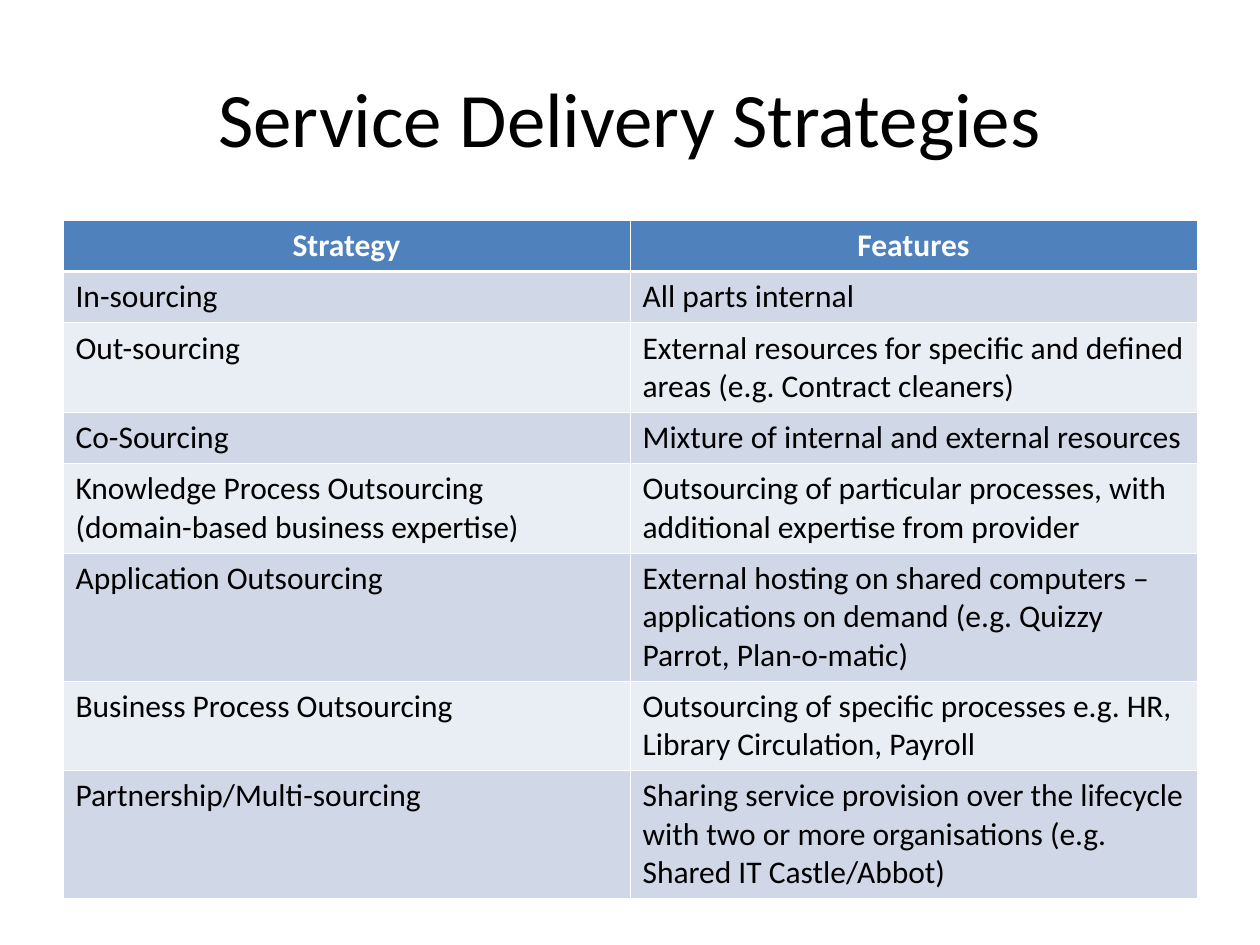
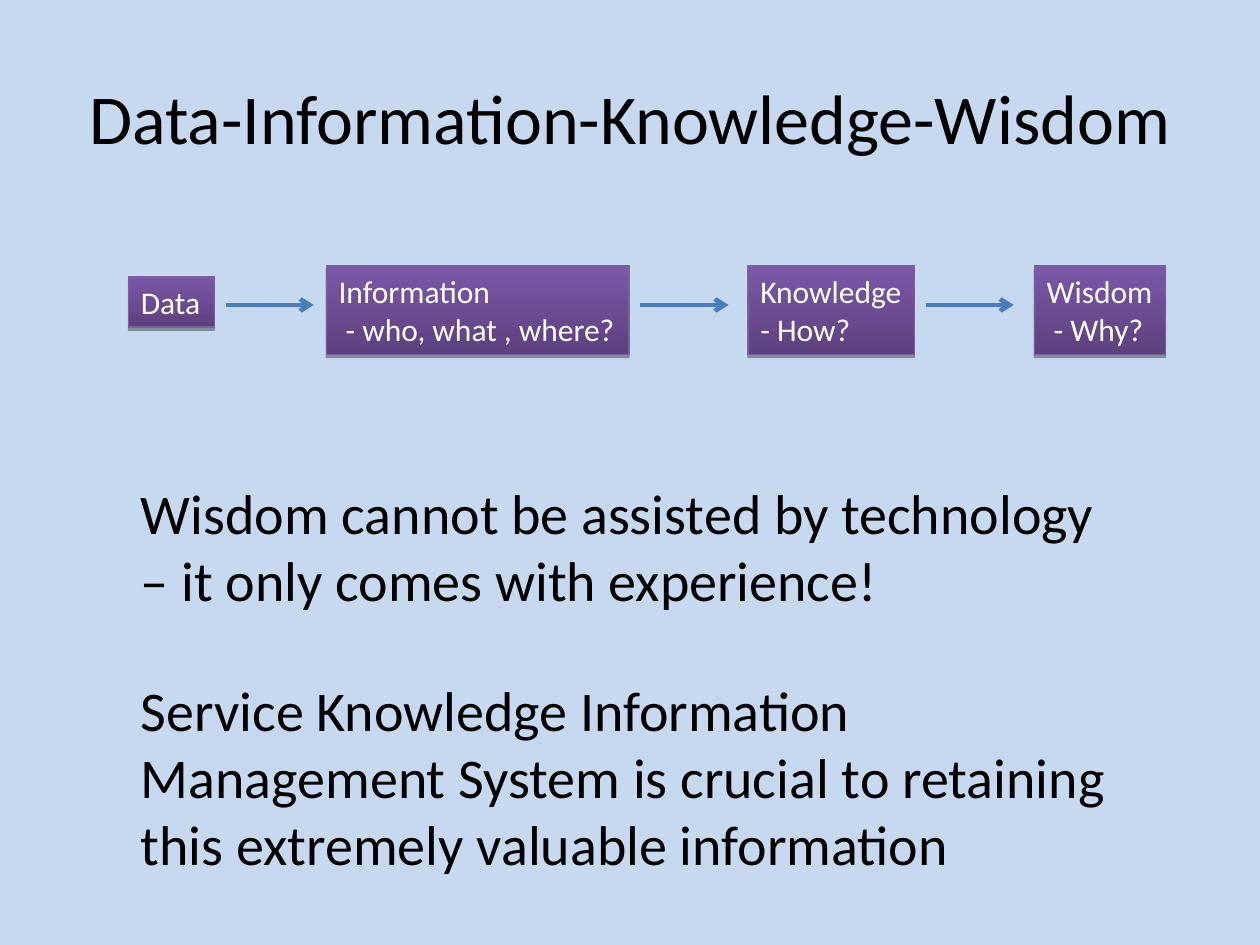
from lxml import etree
from pptx import Presentation
from pptx.dml.color import RGBColor
from pptx.enum.shapes import MSO_CONNECTOR, MSO_SHAPE
from pptx.enum.text import MSO_ANCHOR, PP_ALIGN
from pptx.oxml.ns import qn
from pptx.util import Pt

LEFT, CENTER = PP_ALIGN.LEFT, PP_ALIGN.CENTER
TOP, MIDDLE = MSO_ANCHOR.TOP, MSO_ANCHOR.MIDDLE
RECT, STRAIGHT = MSO_SHAPE.RECTANGLE, MSO_CONNECTOR.STRAIGHT

FONT = "Calibri"
COLORS = {
    "text": "000000", "white": "FFFFFF", "sky": "C6D9F1",
    "header": "4F81BD", "band_dark": "D0D8E8", "band_light": "E9EDF4",
    "box_dark": "5D417E", "box_light": "7B57A8", "box_line": "7D60A0",
    "arrow": "4A7EBB",
}
TITLE_BOX = (36, 21.6, 648, 90)

# Strategy, features, lines of text in the row
STRATEGIES = [
    ("Strategy", "Features", 1),
    ("In-sourcing", "All parts internal", 1),
    ("Out-sourcing",
     "External resources for specific and defined areas (e.g. Contract cleaners)", 2),
    ("Co-Sourcing", "Mixture of internal and external resources", 1),
    ("Knowledge Process Outsourcing\n(domain-based business expertise)",
     "Outsourcing of particular processes, with additional expertise from provider", 2),
    ("Application Outsourcing",
     "External hosting on shared computers – applications on demand "
     "(e.g. Quizzy Parrot, Plan-o-matic)", 3),
    ("Business Process Outsourcing",
     "Outsourcing of specific processes e.g. HR, Library Circulation, Payroll", 2),
    ("Partnership/Multi-sourcing",
     "Sharing service provision over the lifecycle with two or more organisations "
     "(e.g. Shared IT Castle/Abbot)", 3),
]

# Text, left and top within the chain, width, height
STAGES = [
    ("Data", 0, 6, 49, 29),
    ("Information\n - who, what , where?", 113, 0, 173, 50.6),
    ("Knowledge\n- How?", 354, 0, 95, 50.6),
    ("Wisdom\n - Why?", 517.6, 0, 75, 50.6),
]


def rgb(name):
    return RGBColor.from_string(COLORS[name])


def write(tf, text, size=18, color="text", bold=False, align=LEFT):
    """Fill a text frame, one paragraph for each line of text."""
    for i, line in enumerate(text.split("\n")):
        p = tf.add_paragraph() if i else tf.paragraphs[0]
        p.alignment = align
        r = p.add_run()
        r.text = line
        r.font.name, r.font.size, r.font.bold = FONT, Pt(size), bold
        r.font.color.rgb = rgb(color)


def add_text(slide, box, text, anchor=TOP, **fmt):
    tf = slide.shapes.add_textbox(*map(Pt, box)).text_frame
    tf.word_wrap = True
    tf.vertical_anchor = anchor
    write(tf, text, **fmt)


def add_slide(prs, title, title_size, background):
    slide = prs.slides.add_slide(prs.slide_layouts[6])
    fill = slide.background.fill
    fill.solid()
    fill.fore_color.rgb = rgb(background)
    add_text(slide, TITLE_BOX, title, anchor=MIDDLE, size=title_size, align=CENTER)
    return slide


def add_color(parent, name):
    return etree.SubElement(parent, qn("a:srgbClr"), val=COLORS[name])


def set_borders(cell, **widths):
    tcPr = cell._tc.get_or_add_tcPr()
    for i, side in enumerate("LRTB"):
        width = Pt(widths.get(side, 0.45))
        ln = etree.Element(qn(f"a:ln{side}"), w=str(width))
        add_color(etree.SubElement(ln, qn("a:solidFill")), "white")
        tcPr.insert(i, ln)


def strategy_table(slide, left, top, width):
    heights = [7.2 + 22 * lines for *_, lines in STRATEGIES]
    table = slide.shapes.add_table(
        len(STRATEGIES), 2, Pt(left), Pt(top), Pt(width), Pt(sum(heights))).table
    for column in table.columns:
        column.width = Pt(width / 2)
    for i, (*texts, _) in enumerate(STRATEGIES):
        table.rows[i].height = Pt(heights[i])
        if i == 0:
            fill, borders = "header", {"B": 1.47}
            fmt = {"color": "white", "bold": True, "align": CENTER}
        else:
            fill = "band_dark" if i % 2 else "band_light"
            borders, fmt = ({"T": 1.47} if i == 1 else {}), {}
        for cell, text in zip(table.rows[i].cells, texts):
            set_borders(cell, **borders)
            cell.fill.solid()
            cell.fill.fore_color.rgb = rgb(fill)
            write(cell.text_frame, text, **fmt)


def add_shadow(sp):
    sp.shadow.inherit = False
    effects = sp._element.spPr.find(qn("a:effectLst"))
    shadow = etree.SubElement(effects, qn("a:outerShdw"), blurRad="0",
                              dist=str(Pt(1.8)), dir="5400000", rotWithShape="0")
    etree.SubElement(add_color(shadow, "text"), qn("a:alpha"), val="35000")


def stage_box(slide, text, box):
    sp = slide.shapes.add_shape(RECT, *map(Pt, box))
    sp.fill.gradient()
    sp.fill.gradient_angle = 90
    for stop, name in zip(sp.fill.gradient_stops, ("box_dark", "box_light")):
        stop.color.rgb = rgb(name)
    sp.line.color.rgb = rgb("box_line")
    sp.line.width = Pt(0.75)
    add_shadow(sp)
    tf = sp.text_frame
    tf.word_wrap = False
    tf.vertical_anchor = TOP
    write(tf, text, color="white")


def add_arrow(slide, x, y, length):
    line = slide.shapes.add_connector(STRAIGHT, Pt(x), Pt(y), Pt(x + length), Pt(y))
    line.line.color.rgb = rgb("arrow")
    line.line.width = Pt(2.5)
    spPr = line._element.spPr
    etree.SubElement(spPr.find(qn("a:ln")), qn("a:tailEnd"), type="arrow")
    etree.SubElement(spPr, qn("a:effectLst"))


def stage_chain(slide, left, top):
    """Boxes from data to wisdom, with an arrow after each but the last."""
    for i, (text, x, y, width, height) in enumerate(STAGES):
        stage_box(slide, text, (left + x, top + y, width, height))
        if i < len(STAGES) - 1:
            add_arrow(slide, left + x + width + 6.5, top + 22.4, 50.4)


def main():
    prs = Presentation()
    prs.slide_width, prs.slide_height = Pt(720), Pt(540)

    slide = add_slide(prs, "Service Delivery Strategies", 44, "white")
    strategy_table(slide, 36, 126, 648)

    slide = add_slide(prs, "Data-Information-Knowledge-Wisdom", 40, "sky")
    stage_chain(slide, 73.4, 151.9)
    add_text(slide, (73.4, 270, 568, 84),
             "Wisdom cannot be assisted by technology – it only comes with experience!",
             size=32)
    add_text(slide, (73.4, 382.5, 568, 122),
             "Service Knowledge Information Management System is crucial to retaining "
             "this extremely valuable information", size=32)

    prs.save("out.pptx")


if __name__ == "__main__":
    main()
